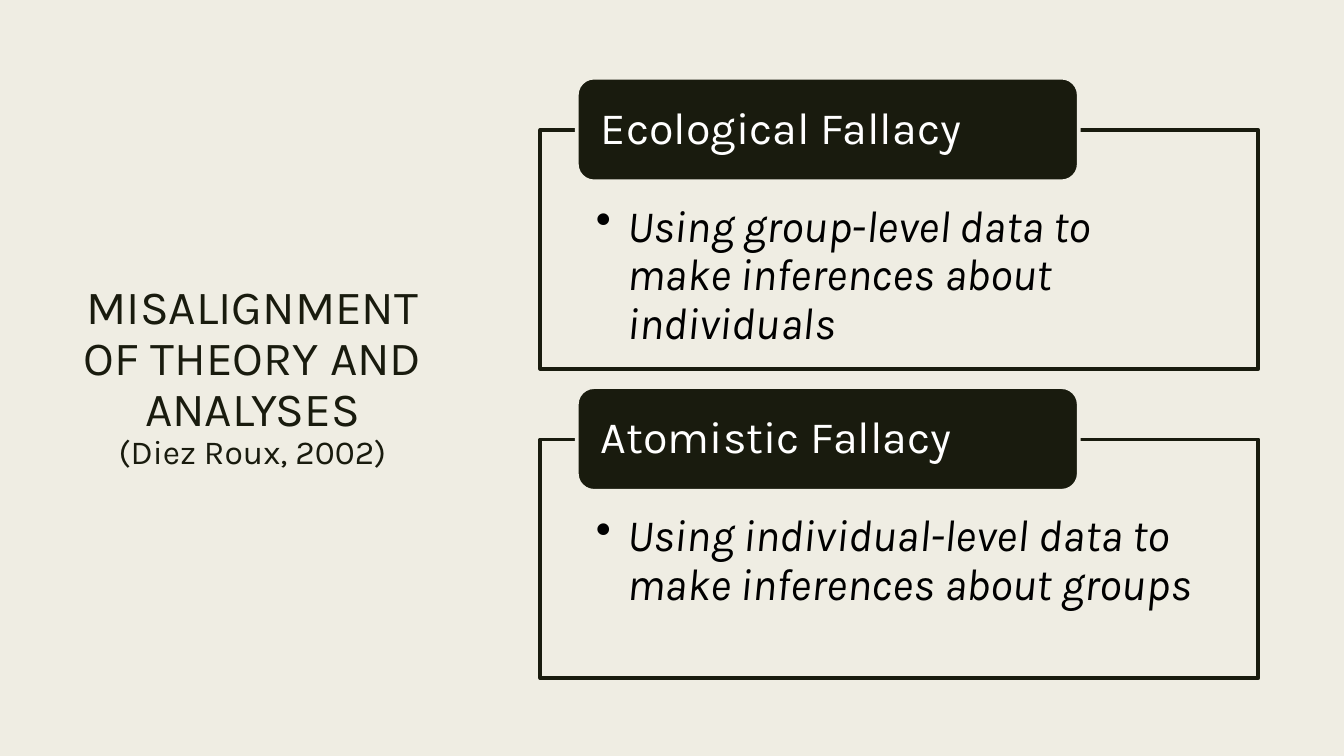
import copy

import pptx
import pptx.dml.color
import pptx.enum.shapes
import pptx.enum.text
import pptx.oxml
import pptx.oxml.ns
import pptx.util
from lxml import etree

Inches = pptx.util.Inches
Pt = pptx.util.Pt
RGBColor = pptx.dml.color.RGBColor
MSO_SHAPE = pptx.enum.shapes.MSO_SHAPE
MSO_ANCHOR = pptx.enum.text.MSO_ANCHOR
PP_ALIGN = pptx.enum.text.PP_ALIGN
qn = pptx.oxml.ns.qn

CREAM = RGBColor(0xEF, 0xED, 0xE3)
DARK = RGBColor(0x19, 0x1B, 0x0E)
BLACK = RGBColor(0, 0, 0)
WHITE = RGBColor(0xFF, 0xFF, 0xFF)
FONT = "Karla"

FALLACIES = [
    ("Ecological Fallacy",
     "Using group-level data to make inferences about individuals"),
    ("Atomistic Fallacy",
     "Using individual-level data to make inferences about groups"),
]
FIRST_TOP = 0.77
PITCH = 3.07
PANEL_DROP = 0.52


def style_run(run, size, color, italic=False):
    run.font.name = FONT
    run.font.size = Pt(size)
    run.font.color.rgb = color
    run.font.italic = italic


def add_title(slide, heading, citation):
    title = slide.shapes.title
    title.left, title.top = Inches(0.7), Inches(0.7)
    title.width, title.height = Inches(3.61), Inches(6.1)
    frame = title.text_frame
    frame.word_wrap = True
    frame.auto_size = pptx.enum.text.MSO_AUTO_SIZE.NONE
    frame.vertical_anchor = MSO_ANCHOR.MIDDLE
    paragraph = frame.paragraphs[0]
    paragraph.text = f"{heading}\v{citation}"
    paragraph.alignment = PP_ALIGN.CENTER
    paragraph.line_spacing = 0.89
    for run, size in zip(paragraph.runs, (34, 24)):
        style_run(run, size, DARK)
    # The line break takes the size of the heading before it
    heading_format = paragraph.runs[0].font._element
    line_break = paragraph._p.find(qn("a:br"))
    line_break.append(copy.deepcopy(heading_format))


def add_box(slide, kind, bounds, fill, line, insets, anchor):
    box = slide.shapes.add_shape(kind, *map(Inches, bounds))
    box.shadow.inherit = False
    box.fill.solid()
    box.fill.fore_color.rgb = fill
    box.line.color.rgb = line
    box.line.width = Pt(2.75)
    frame = box.text_frame
    frame.word_wrap = True
    frame.vertical_anchor = anchor
    (frame.margin_left, frame.margin_top,
     frame.margin_right, frame.margin_bottom) = map(Inches, insets)
    return box


def set_text(box, text, color, italic=False):
    paragraph = box.text_frame.paragraphs[0]
    paragraph.text = text
    paragraph.alignment = PP_ALIGN.LEFT
    paragraph.line_spacing = 0.9
    style_run(paragraph.runs[0], 32, color, italic)
    return paragraph


def add_bullet(paragraph):
    properties = paragraph._p.get_or_add_pPr()
    properties.set("marL", str(Inches(0.31)))
    properties.set("indent", str(-Inches(0.31)))
    etree.SubElement(properties, qn("a:buChar")).set("char", "•")


def set_opacity(box, percent):
    color = box.fill._xPr.find(qn("a:solidFill"))[0]
    etree.SubElement(color, qn("a:alpha")).set("val", str(percent * 1000))


def add_fallacy(slide, top, name, definition):
    panel = add_box(slide, MSO_SHAPE.RECTANGLE,
                    (5.36, top + PANEL_DROP, 7.12, 2.37), CREAM, DARK,
                    (0.55, 0.73, 0.55, 0.25), MSO_ANCHOR.TOP)
    set_opacity(panel, 90)
    add_bullet(set_text(panel, definition, BLACK, italic=True))

    header = add_box(slide, MSO_SHAPE.ROUNDED_RECTANGLE,
                     (5.72, top, 4.98, 1.03), DARK, CREAM,
                     (0.19, 0, 0.19, 0), MSO_ANCHOR.MIDDLE)
    set_text(header, name, WHITE)


def main():
    deck = pptx.Presentation()
    deck.slide_width, deck.slide_height = Inches(13.33), Inches(7.5)
    slide = deck.slides.add_slide(deck.slide_layouts[5])
    slide.background.fill.solid()
    slide.background.fill.fore_color.rgb = CREAM

    add_title(slide, "MISALIGNMENT OF THEORY AND ANALYSES",
              "(Diez Roux, 2002)")
    for index, (name, definition) in enumerate(FALLACIES):
        add_fallacy(slide, FIRST_TOP + index * PITCH, name, definition)
    deck.save("out.pptx")


if __name__ == "__main__":
    main()
